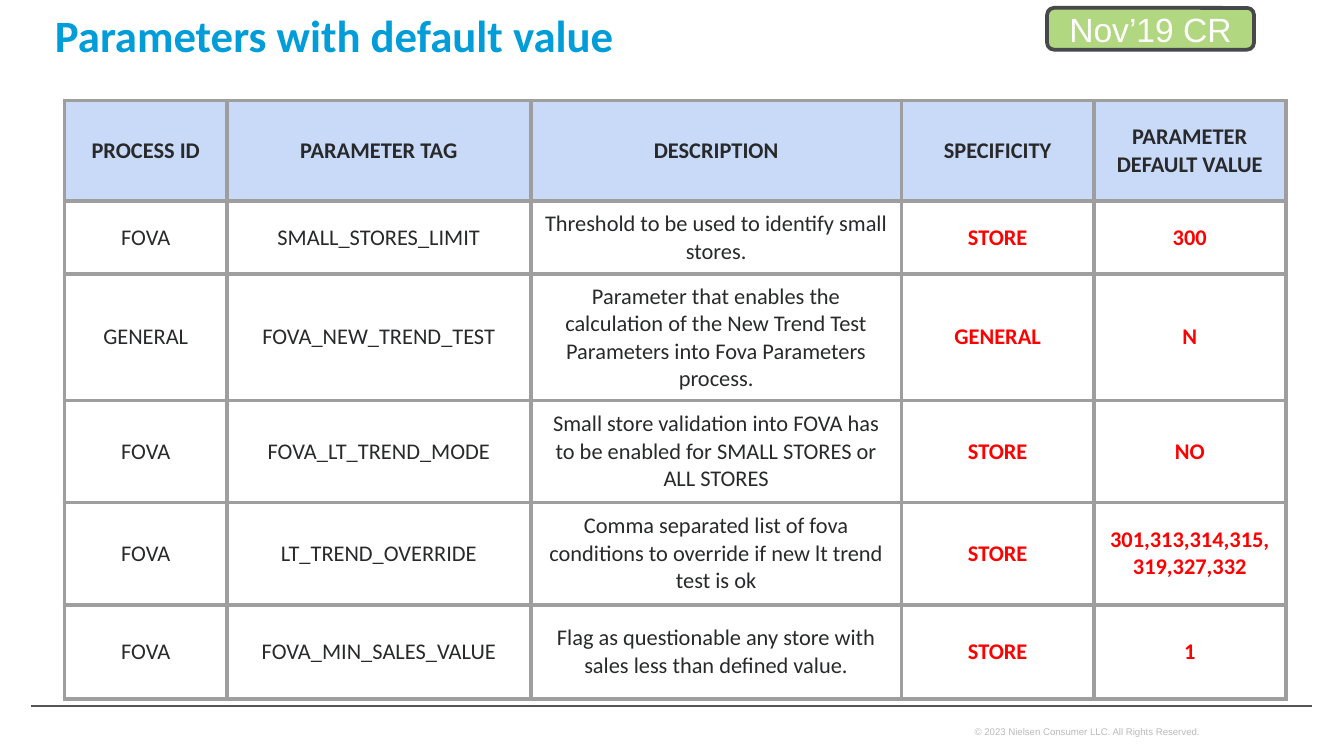
from dataclasses import dataclass

from lxml import etree
from pptx import Presentation
from pptx.dml.color import RGBColor
from pptx.enum import shapes, text
from pptx.oxml import ns
from pptx.util import Cm, Pt


@dataclass(frozen=True)
class Theme:
    title: str = "009DD9"
    ink: str = "28292A"
    value: str = "FF0000"
    head: str = "C9DAF8"
    grid: str = "9E9E9E"
    rule: str = "555555"
    note: str = "BBBBBB"
    tag: str = "B1D780"
    edge: str = "464849"
    white: str = "FFFFFF"
    big: float = 24
    mid: float = 18
    body: float = 12
    tiny: float = 5.2


theme = Theme()
rgb = RGBColor.from_string


def write(frame, words, size, color, face="Calibri", bold=False, align=None):
    """Fill a text frame with one paragraph in one style."""
    frame.word_wrap = True
    frame.text = words
    para = frame.paragraphs[0]
    para.alignment = align
    font = para.runs[0].font
    font.name, font.size, font.bold = face, Pt(size), bold
    font.color.rgb = rgb(color)


def border(cell, color, width):
    """Draw all four edges of a table cell."""
    props = cell._tc.get_or_add_tcPr()
    for side in ("lnL", "lnR", "lnT", "lnB"):
        line = etree.SubElement(props, ns.qn("a:" + side), w=str(Pt(width)))
        fill = etree.SubElement(line, ns.qn("a:solidFill"))
        etree.SubElement(fill, ns.qn("a:srgbClr"), val=color)


deck = Presentation()
deck.slide_width, deck.slide_height = Cm(25.4), Cm(14.29)
slide = deck.slides.add_slide(deck.slide_layouts[6])
center = text.PP_ALIGN.CENTER
middle = text.MSO_ANCHOR.MIDDLE

# Footer
note = slide.shapes.add_textbox(Cm(18.42), Cm(13.59), Cm(5.41), Cm(0.48))
note.text_frame.margin_left = note.text_frame.margin_right = 0
write(note.text_frame, "© 2023 Nielsen Consumer LLC. All Rights Reserved.",
      theme.tiny, theme.note, "Arial")

rule = slide.shapes.add_connector(
    shapes.MSO_CONNECTOR.STRAIGHT, Cm(0.58), Cm(13.34), Cm(24.79), Cm(13.34))
rule.line.color.rgb = rgb(theme.rule)
rule.line.width = Pt(1)
etree.SubElement(rule._element.spPr, ns.qn("a:effectLst"))

# Title
title = slide.shapes.add_textbox(Cm(0.79), Cm(0.03), Cm(11.48), Cm(0.79))
write(title.text_frame, "Parameters with default value",
      theme.big, theme.title, bold=True)

# Parameter table
rows = [
    ("PROCESS ID", "PARAMETER TAG", "DESCRIPTION", "SPECIFICITY",
     "PARAMETER DEFAULT VALUE"),
    ("FOVA", "SMALL_STORES_LIMIT",
     "Threshold to be used to identify small stores.", "STORE", "300"),
    ("GENERAL", "FOVA_NEW_TREND_TEST",
     "Parameter that enables the calculation of the New Trend Test "
     "Parameters into Fova Parameters process.", "GENERAL", "N"),
    ("FOVA", "FOVA_LT_TREND_MODE",
     "Small store validation into FOVA has to be enabled for "
     "SMALL STORES or ALL STORES", "STORE", "NO"),
    ("FOVA", "LT_TREND_OVERRIDE",
     "Comma separated list of fova conditions to override if new lt trend "
     "test is ok", "STORE", "301,313,314,315,319,327,332"),
    ("FOVA", "FOVA_MIN_SALES_VALUE",
     "Flag as questionable any store with sales less than defined value.",
     "STORE", "1"),
]
widths = [3.07, 5.74, 7.01, 3.63, 3.63]
heights = [1.9, 1.35, 2.21, 1.93, 1.93, 1.78]

grid = slide.shapes.add_table(
    len(rows), len(widths), Cm(1.22), Cm(1.9),
    Cm(sum(widths)), Cm(sum(heights))).table
for col, width in zip(grid.columns, widths):
    col.width = Cm(width)
for row, height in zip(grid.rows, heights):
    row.height = Cm(height)

for r, row in enumerate(rows):
    for c, words in enumerate(row):
        cell = grid.cell(r, c)
        head = r == 0
        value = not head and c >= 3
        border(cell, theme.grid, 2.25)
        if head:
            cell.fill.solid()
            cell.fill.fore_color.rgb = rgb(theme.head)
        else:
            cell.fill.background()
        cell.vertical_anchor = middle
        cell.margin_left = cell.margin_right = Cm(0.25)
        cell.margin_top = cell.margin_bottom = Cm(0.18)
        write(cell.text_frame, words, theme.body,
              theme.value if value else theme.ink,
              bold=head or value, align=center)

# Release tag
tag = slide.shapes.add_shape(
    shapes.MSO_SHAPE.ROUNDED_RECTANGLE, Cm(19.79), Cm(0.15), Cm(3.91), Cm(0.79))
tag.shadow.inherit = False
tag.fill.solid()
tag.fill.fore_color.rgb = rgb(theme.tag)
tag.line.color.rgb = rgb(theme.edge)
tag.line.width = Pt(2)
tag.text_frame.vertical_anchor = middle
write(tag.text_frame, "Nov’19 CR", theme.mid, theme.white, "Arial", align=center)

deck.save("out.pptx")
